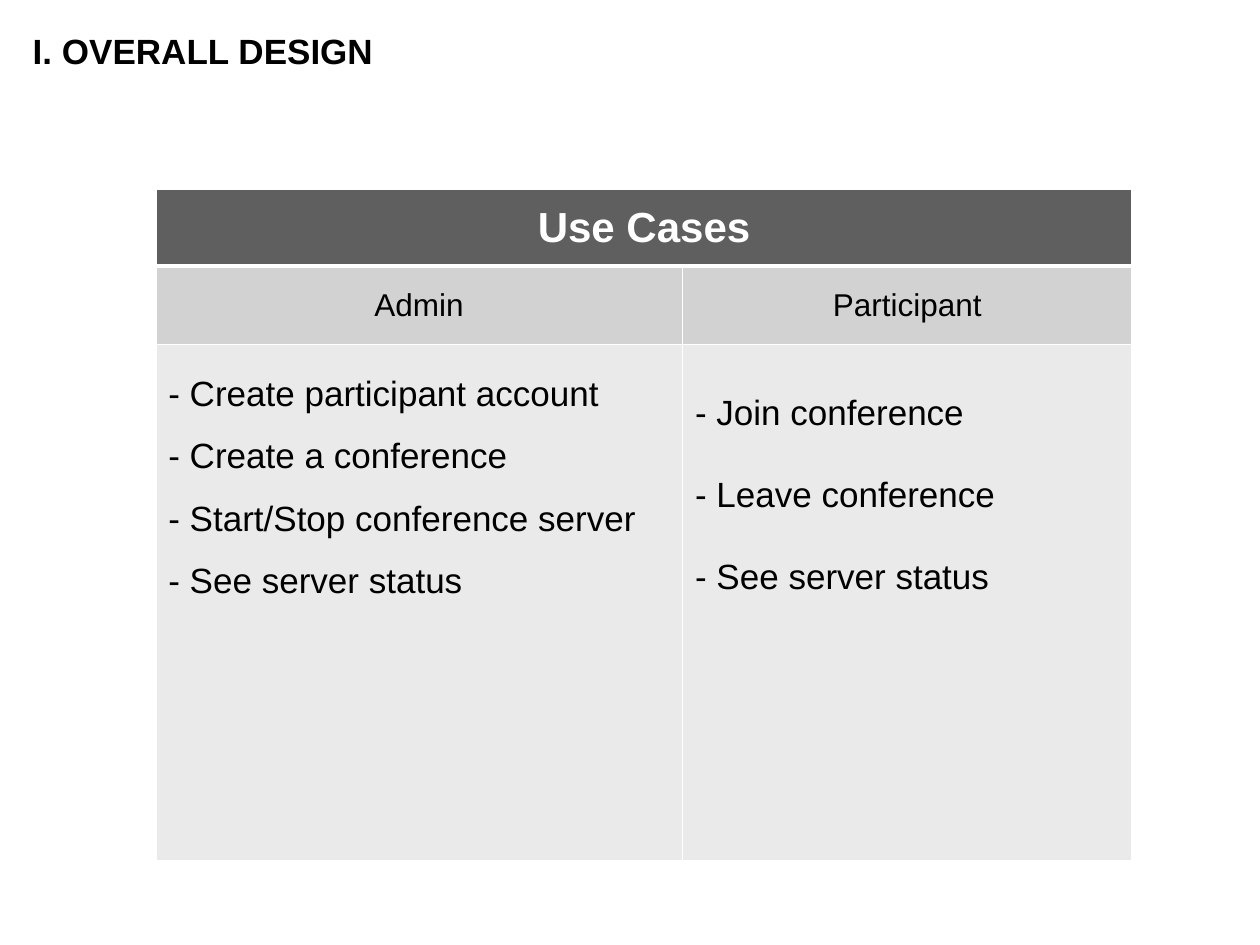
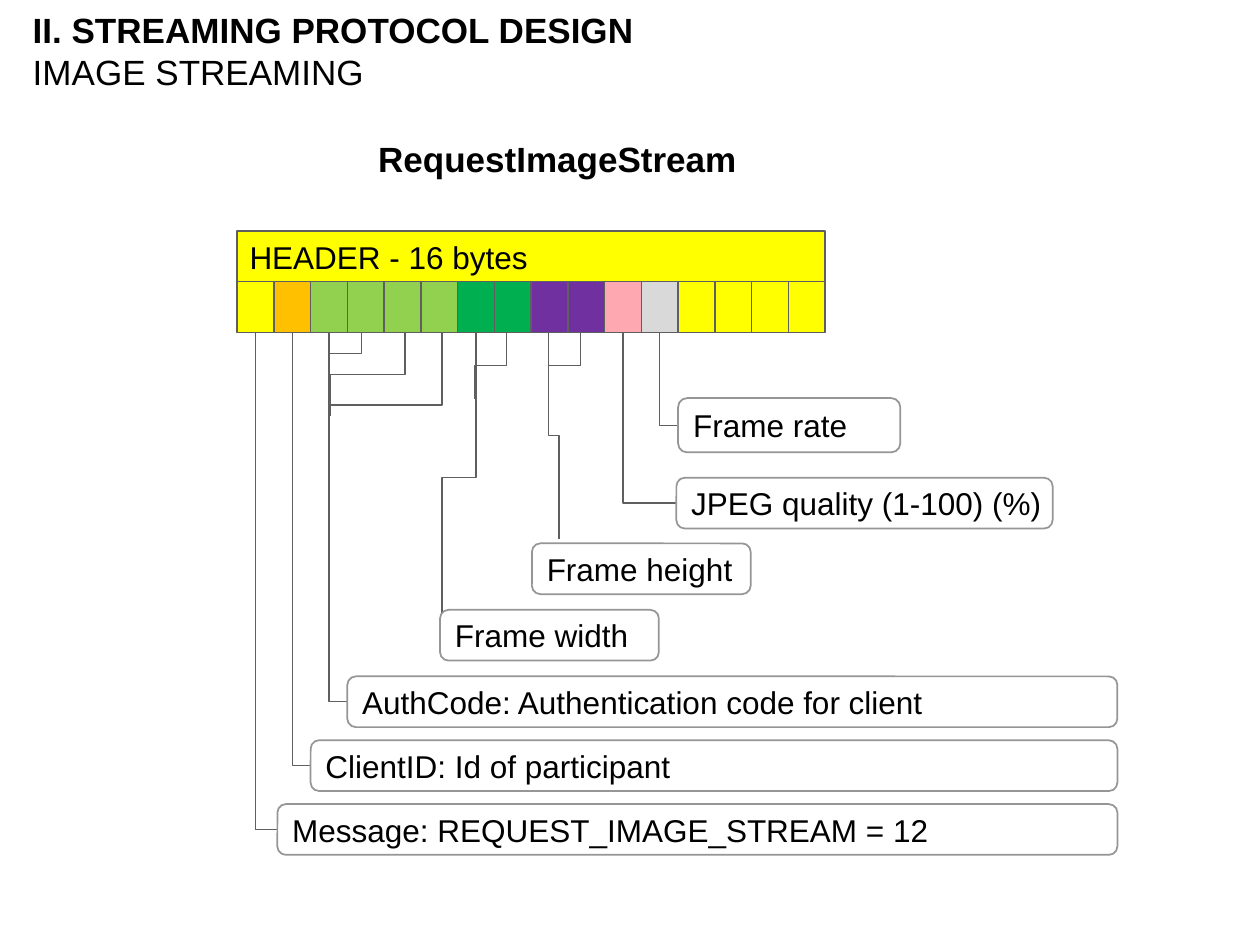
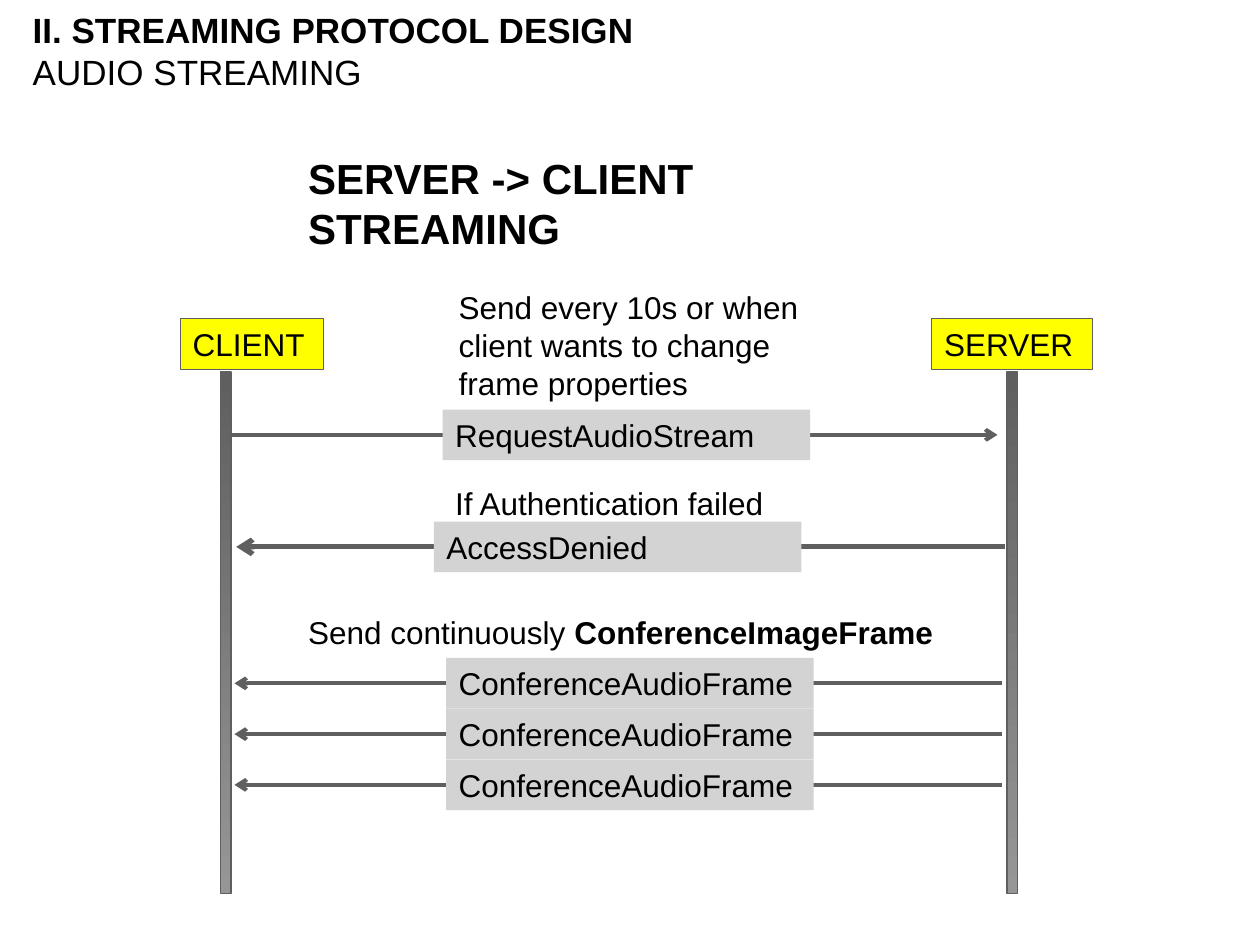
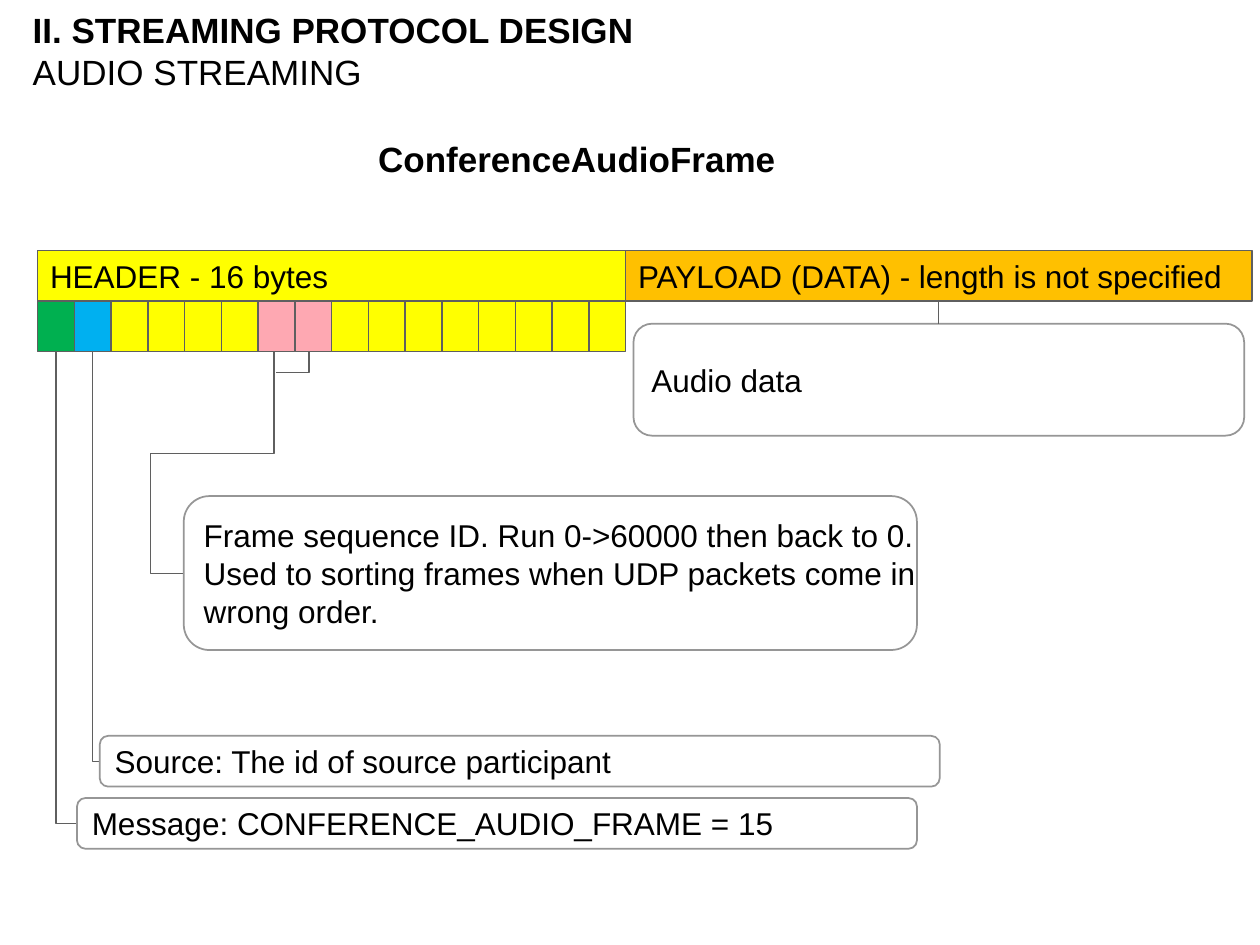
import lxml.etree
import pptx
import pptx.dml.color
import pptx.enum.shapes
import pptx.enum.text
import pptx.oxml.ns
import pptx.util

Pt = pptx.util.Pt
qn = pptx.oxml.ns.qn
SHAPE = pptx.enum.shapes.MSO_SHAPE
LINK = pptx.enum.shapes.MSO_CONNECTOR
ALIGN = pptx.enum.text.PP_ALIGN
ANCHOR = pptx.enum.text.MSO_ANCHOR

FONT = "Arial"
BLACK, WHITE = "000000", "FFFFFF"
DARK, GREY, LIGHT, PALE = "5F5F5F", "969696", "D2D2D2", "EAEAEA"
YELLOW, AMBER, LIME, GREEN = "FFFF00", "FFC000", "92D050", "00B050"
PURPLE, PINK, SILVER, BLUE = "7030A0", "FEA8B2", "D9D9D9", "00B0F0"
LABEL = "D3D3D3"
BYTE, ROW = 21, 29
PART = "II. STREAMING PROTOCOL DESIGN"


def tint(code):
    """Return the colour of a hex string."""
    return pptx.dml.color.RGBColor.from_string(code)


def write(frame, *lines, size=18, bold=False, color=BLACK, align=ALIGN.LEFT,
          anchor=ANCHOR.TOP, wrap=True, space=1.0):
    """Fill a text frame; a line is a string or a list of (text, bold) runs."""
    frame.word_wrap = wrap
    frame.vertical_anchor = anchor
    for i, line in enumerate(lines):
        para = frame.paragraphs[0] if i == 0 else frame.add_paragraph()
        para.alignment = align
        para.line_spacing = space
        for text, strong in [(line, bold)] if isinstance(line, str) else line:
            run = para.add_run()
            run.text = text
            font = run.font
            font.name, font.size, font.bold = FONT, Pt(size), strong
            font.color.rgb = tint(color)


def label(slide, box, *lines, **form):
    """Add a text box."""
    text = slide.shapes.add_textbox(*map(Pt, box))
    write(text.text_frame, *lines, **form)


def block(slide, box, fill, *lines, edge=DARK, weight=0.75,
          kind=SHAPE.RECTANGLE, **form):
    """Add a filled shape with optional outline and text."""
    shape = slide.shapes.add_shape(kind, *map(Pt, box))
    shape.shadow.inherit = False
    shape.fill.solid()
    shape.fill.fore_color.rgb = tint(fill)
    if edge:
        shape.line.color.rgb = tint(edge)
        shape.line.width = Pt(weight)
    else:
        shape.line.fill.background()
    if lines:
        write(shape.text_frame, *lines, **form)
    return shape


def bar(slide, box, fill, text):
    """Add an outlined bar with one centred-height line of text."""
    return block(slide, box, fill, text, anchor=ANCHOR.MIDDLE, wrap=False)


def note(slide, box, *lines):
    """Add a rounded call-out."""
    return block(slide, box, WHITE, *lines, edge=GREY, weight=1,
                 kind=SHAPE.ROUNDED_RECTANGLE, anchor=ANCHOR.MIDDLE, wrap=False)


def line(slide, start, end, kind=LINK.STRAIGHT, weight=0.75, arrow=False):
    """Add a plain connector, with an arrowhead at its end if asked."""
    link = slide.shapes.add_connector(kind, *map(Pt, start + end))
    link.line.color.rgb = tint(DARK)
    link.line.width = Pt(weight)
    props = link.element.spPr
    if arrow:
        lxml.etree.SubElement(props.find(qn("a:ln")), qn("a:tailEnd"), type="arrow")
    lxml.etree.SubElement(props, qn("a:effectLst"))
    return link


def wire(slide, start, end, bends=()):
    """Add a bent connector that leaves its start downwards."""
    (x1, y1), (x2, y2) = start, end
    long, half = y2 - y1, (x2 - x1) / 2
    left, mid = (x1 + x2 - long) / 2, (y1 + y2) / 2
    link = line(slide, (left, mid + half), (left + long, mid - half), LINK.ELBOW)
    props = link.element.spPr
    props.find(qn("a:xfrm")).set("rot", "5400000")
    geom = props.find(qn("a:prstGeom"))
    geom.set("prst", f"bentConnector{len(bends) + 2}")
    guides = geom.find(qn("a:avLst"))
    if guides is None:
        guides = lxml.etree.SubElement(geom, qn("a:avLst"))
    for i, bend in enumerate(bends, 1):
        lxml.etree.SubElement(guides, qn("a:gd"), name=f"adj{i}",
                              fmla=f"val {round(bend * 100000)}")


def start(deck, head, sub=None):
    """Add a slide with its title and optional second title line."""
    slide = deck.slides.add_slide(deck.slide_layouts[5])
    title = slide.shapes.title
    title.left, title.top, title.width, title.height = map(Pt, (11.5, 6, 648, 46))
    title.text_frame.auto_size = pptx.enum.text.MSO_AUTO_SIZE.NONE
    lines = [[(head, True)]] + ([[(sub, False)]] if sub else [])
    write(title.text_frame, *lines, size=20, anchor=ANCHOR.MIDDLE)
    return slide


def cell(spot, fill, *lines, top=1, base=1, **form):
    """Format one table cell with white borders."""
    props = spot._tc.get_or_add_tcPr()
    for side, weight in zip("LRTB", (1, 1, top, base)):
        edge = lxml.etree.SubElement(props, qn(f"a:ln{side}"), w=str(Pt(weight)))
        paint = lxml.etree.SubElement(edge, qn("a:solidFill"))
        lxml.etree.SubElement(paint, qn("a:srgbClr"), val=WHITE)
    spot.fill.solid()
    spot.fill.fore_color.rgb = tint(fill)
    if lines:
        write(spot.text_frame, *lines, **form)
        spot.vertical_anchor = form.get("anchor", ANCHOR.TOP)


def cases(slide, box):
    """Add the table of use cases."""
    grid = slide.shapes.add_table(3, 2, *map(Pt, box)).table
    grid.horz_banding = False
    for col, share in zip(grid.columns, (0.54, 0.46)):
        col.width = Pt(round(box[2] * share))
    for row, tall in zip(grid.rows, (44, 45, box[3] - 89)):
        row.height = Pt(tall)
    mid = {"align": ALIGN.CENTER, "anchor": ANCHOR.MIDDLE}
    grid.cell(0, 0).merge(grid.cell(0, 1))
    cell(grid.cell(0, 0), DARK, "Use Cases", base=3, size=24, bold=True,
         color=WHITE, **mid)
    cell(grid.cell(0, 1), DARK, base=3)
    roles = [
        ("Admin", 1.6, ["- Create participant account", "- Create a conference",
                        "- Start/Stop conference server", "- See server status"]),
        ("Participant", 2.1, ["- Join conference", "- Leave conference",
                              "- See server status"]),
    ]
    for i, (role, space, tasks) in enumerate(roles):
        cell(grid.cell(1, i), LIGHT, role, top=3, **mid)
        cell(grid.cell(2, i), PALE, *tasks, size=20, space=space)


def packet(slide, box, name, tints, notes, ties):
    """Add a 16-byte header, wires below its bytes, and call-outs."""
    x, y = box
    base = y + 2 * ROW
    label(slide, (209, 75, 276, 32), name, size=20, bold=True)
    bar(slide, (x, y, 16 * BYTE, ROW), YELLOW, "HEADER - 16 bytes")
    for i, fill in enumerate(tints):
        block(slide, (x + i * BYTE, y + ROW, BYTE, ROW), fill)
    for begin, end, depth, bends in ties:
        wire(slide, (x + begin, base), (x + end, base + depth), bends)
    for byte, left, top, wide, tall, lines in notes:
        if byte is not None:
            wire(slide, (x + (byte + 0.5) * BYTE, base), (x + left, y + top + tall / 2))
        note(slide, (x + left, y + top, wide, tall), *lines)


def data(slide, box):
    """Add the payload bar and its call-out."""
    x, y, wide = box
    load = bar(slide, (x, y, wide, ROW), AMBER,
               "PAYLOAD (DATA) - length is not specified")
    audio = note(slide, (x + 4.5, y + 42, wide - 9, 64), "Audio data")
    link = line(slide, (x + wide / 2, y + 42), (x + wide / 2, y + ROW))
    link.begin_connect(audio, 0)
    link.end_connect(load, 2)


def flow(slide, box):
    """Add the exchange between client and server."""
    x, y = box
    label(slide, (169, 83.5, 385, 36), "SERVER -> CLIENT STREAMING", size=24,
          bold=True, wrap=False)
    for name, left, wide, stem in (("CLIENT", 0, 82, 23), ("SERVER", 429.5, 92, 472.5)):
        bar(slide, (x + left, y + 21, wide, ROW), YELLOW, name)
        pole = block(slide, (x + stem, y + 51.5, 6, 298), DARK)
        pole.fill.gradient()
        pole.fill.gradient_angle = 270
        for stop, code in zip(pole.fill.gradient_stops, (DARK, GREY)):
            stop.color.rgb = tint(code)
    sends = [("RequestAudioStream", 150, 73, 29, 467, 2.25),
             ("AccessDenied", 145, 137, 471.5, 32, 3)]
    sends += [("ConferenceAudioFrame", 152, 215 + i * ROW, 469.5, 31, 2.25)
              for i in range(3)]
    for name, left, top, begin, end, weight in sends:
        level = y + top + ROW / 2
        line(slide, (x + begin, level), (x + end, level), weight=weight, arrow=True)
        block(slide, (x + left, y + top, 210, ROW), LABEL, name, edge=None)
    label(slide, (x + 152, y, 233, 73),
          "Send every 10s or when client wants to change frame properties")
    label(slide, (x + 150, y + 112, 423, ROW), "If Authentication failed")
    label(slide, (x + 66, y + 186, 423, ROW),
          [("Send continuously ", False), ("ConferenceImageFrame", True)])


def main():
    """Build the four slides."""
    deck = pptx.Presentation()
    deck.slide_width, deck.slide_height = Pt(720), Pt(540)

    cases(start(deck, "I. OVERALL DESIGN"), (89, 108, 558, 384))

    packet(
        start(deck, PART, "IMAGE STREAMING"), (135.5, 132), "RequestImageStream",
        [YELLOW, AMBER] + [LIME] * 4 + [GREEN] * 2 + [PURPLE] * 2
        + [PINK, SILVER] + [YELLOW] * 4,
        [(0, 23, 327.5, 480, ROW, ["Message: REQUEST_IMAGE_STREAM = 12"]),
         (1, 42, 291, 461, ROW, ["ClientID: Id of participant"]),
         (2, 63, 254.5, 440, ROW, ["AuthCode: Authentication code for client"]),
         (None, 116, 216.5, 125, ROW, ["Frame width"]),
         (None, 168.5, 178.5, 125, ROW, ["Frame height"]),
         (10, 251, 141, 215, ROW, ["JPEG quality (1-100) (%)"]),
         (11, 252, 95.5, 127, 31, ["Frame rate"])],
        [(71, 52.5, 12, ()), (96, 53, 48, (0.5,)), (117, 52.5, 83, (0.5,)),
         (154, 136, 38, (0.5,)), (196, 178, 38, (0.5,)),
         (136.5, 117, 166, (0.5,)), (178, 184, 118, (0.5,))])

    flow(start(deck, PART, "AUDIO STREAMING"), (103, 161))

    slide = start(deck, PART, "AUDIO STREAMING")
    packet(
        slide, (21.5, 143), "ConferenceAudioFrame",
        [GREEN, BLUE] + [YELLOW] * 4 + [PINK] * 2 + [YELLOW] * 8,
        [(0, 22.5, 313, 480, ROW, ["Message: CONFERENCE_AUDIO_FRAME = 15"]),
         (1, 35.5, 277.5, 480, ROW, ["Source: The id of source participant"]),
         (None, 83.5, 140.5, 419, 88,
          ["Frame sequence ID. Run 0->60000 then back to 0.",
           "Used to sorting frames when UDP packets come in",
           "wrong order."])],
        [(135, 83.5, 126.5, (0.46, 1.37)), (155, 136, 12, ())])
    data(slide, (357.5, 143, 358))

    deck.save("out.pptx")


if __name__ == "__main__":
    main()
